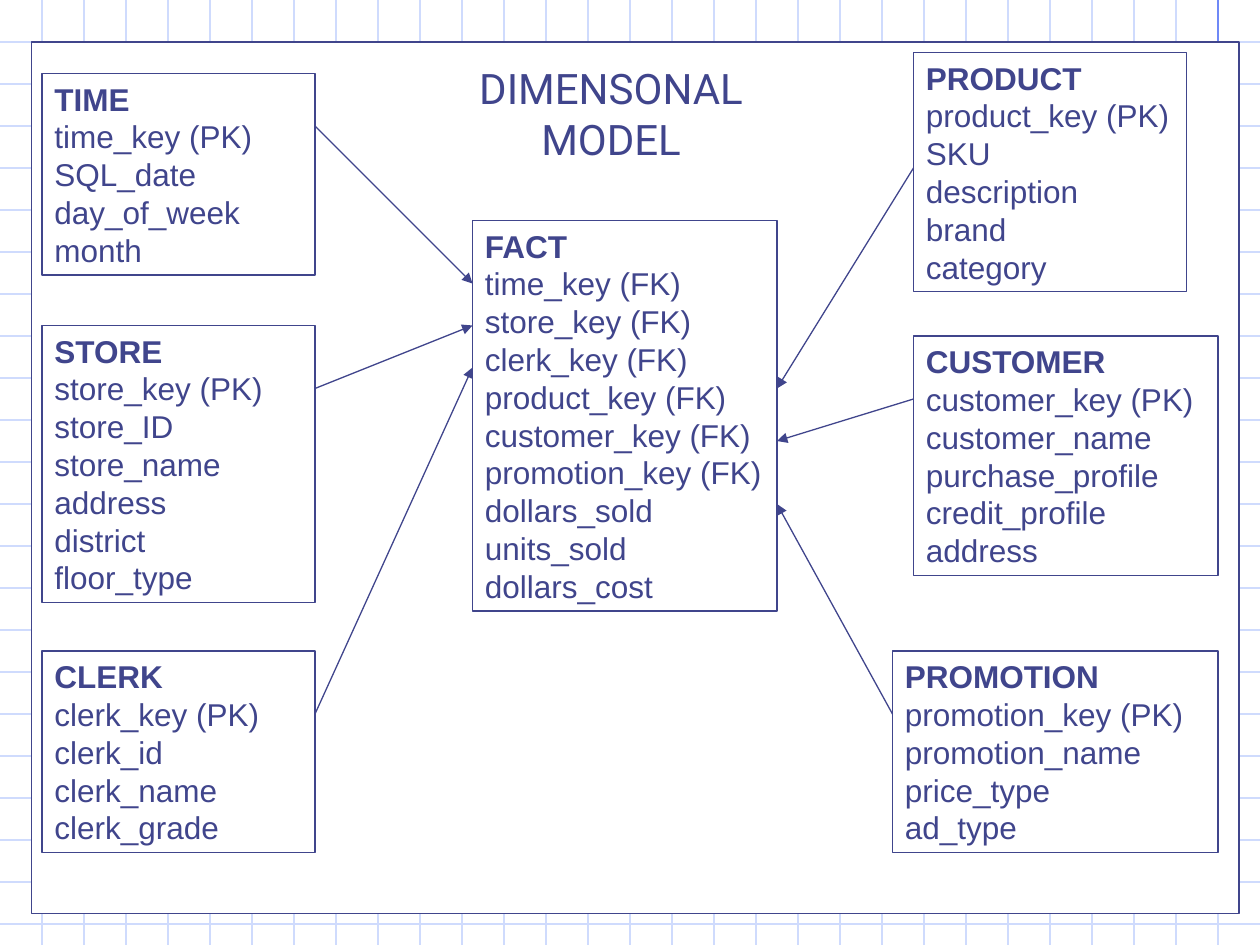
from lxml import etree
from pptx import Presentation, util as u
from pptx.dml.color import RGBColor
from pptx.enum import shapes, text
from pptx.oxml.ns import qn

INDIGO = RGBColor(0x40, 0x45, 0x8C)
PALE_BLUE = RGBColor(0xCF, 0xDB, 0xFD)
MARGIN_BLUE = RGBColor(0x6F, 0x89, 0xF7)
WHITE = RGBColor(0xFF, 0xFF, 0xFF)

COLUMNS, ROWS = 120, 90
SQUARE = 4

ENTITIES = [
    (4, 7, 26, "TIME", "time_key (PK)", "SQL_date", "day_of_week", "month"),
    (4, 31, 26, "STORE", "store_key (PK)", "store_ID", "store_name",
     "address", "district", "floor_type"),
    (4, 62, 26, "CLERK", "clerk_key (PK)", "clerk_id", "clerk_name", "clerk_grade"),
    (87, 5, 26, "PRODUCT", "product_key (PK)", "SKU", "description",
     "brand", "category"),
    (87, 32, 29, "CUSTOMER", "customer_key (PK)", "customer_name",
     "purchase_profile", "credit_profile", "address"),
    (85, 62, 31, "PROMOTION", "promotion_key (PK)", "promotion_name",
     "price_type", "ad_type"),
    (45, 21, 29, "FACT", "time_key (FK)", "store_key (FK)", "clerk_key (FK)",
     "product_key (FK)", "customer_key (FK)", "promotion_key (FK)",
     "dollars_sold", "units_sold", "dollars_cost"),
]

RELATIONS = [
    ((30, 12), (45, 27)),
    ((30, 37), (45, 31)),
    ((30, 68), (45, 35)),
    ((87, 16), (74, 37)),
    ((87, 38), (74, 42)),
    ((85, 68), (74, 48)),
]


class Diagram:
    line_width = u.Pt(0.75)
    line_spacing = 1.2

    def __init__(self, presentation):
        self.slide = presentation.slides.add_slide(presentation.slide_layouts[6])
        self.cell = presentation.slide_width / COLUMNS

    def lengths(self, *cells):
        return [u.Emu(round(count * self.cell)) for count in cells]

    def line(self, start, end, color, arrow=False):
        connector = self.slide.shapes.add_connector(
            shapes.MSO_CONNECTOR.STRAIGHT, *self.lengths(*start, *end))
        connector.line.color.rgb = color
        connector.line.width = self.line_width
        properties = connector._element.spPr
        if arrow:
            etree.SubElement(properties.find(qn("a:ln")), qn("a:tailEnd"), type="triangle")
        etree.SubElement(properties, qn("a:effectLst"))

    def box(self, left, top, width, height, filled=False):
        shape = self.slide.shapes.add_shape(
            shapes.MSO_SHAPE.RECTANGLE, *self.lengths(left, top, width, height))
        shape.shadow.inherit = False
        if filled:
            shape.fill.solid()
            shape.fill.fore_color.rgb = WHITE
        else:
            shape.fill.background()
        shape.line.color.rgb = INDIGO
        shape.line.width = self.line_width
        return shape

    def set_lines(self, shape, lines, font, size, alignment, wrap=True):
        frame = shape.text_frame
        frame.text = "\n".join(lines)
        frame.word_wrap = wrap
        frame.auto_size = text.MSO_AUTO_SIZE.SHAPE_TO_FIT_TEXT
        frame.vertical_anchor = text.MSO_ANCHOR.TOP
        for paragraph in frame.paragraphs:
            paragraph.alignment = alignment
            paragraph.line_spacing = u.Pt(size * self.line_spacing)
            paragraph.font.name = font
            paragraph.font.size = u.Pt(size)
            paragraph.font.color.rgb = INDIGO

    def entity(self, left, top, width, name, *fields):
        lines = [name, *fields]
        shape = self.box(left, top, width, 1.2 + 3.6 * len(lines))
        self.set_lines(shape, lines, "Arial", 18, text.PP_ALIGN.LEFT)
        shape.text_frame.paragraphs[0].font.bold = True

    def title(self, left, top, width, height, *lines):
        shape = self.slide.shapes.add_textbox(*self.lengths(left, top, width, height))
        self.set_lines(shape, lines, "Roboto", 24, text.PP_ALIGN.CENTER, wrap=False)

    def graph_paper(self):
        for row in range(SQUARE, ROWS, SQUARE):
            self.line((0, row), (COLUMNS, row), PALE_BLUE)
        for column in range(SQUARE, COLUMNS, SQUARE):
            self.line((column, 0), (column, ROWS), PALE_BLUE)
        self.line((116, 0), (116, 31), MARGIN_BLUE)


def main():
    presentation = Presentation()
    presentation.slide_width = u.Inches(10)
    presentation.slide_height = u.Inches(7.5)
    diagram = Diagram(presentation)
    diagram.graph_paper()
    diagram.box(3, 4, 115, 83, filled=True)
    for entity in ENTITIES:
        diagram.entity(*entity)
    for start, end in RELATIONS:
        diagram.line(start, end, INDIGO, arrow=True)
    diagram.title(44, 5.4, 28.4, 10.8, "DIMENSONAL", "MODEL")
    presentation.save("out.pptx")


if __name__ == "__main__":
    main()
